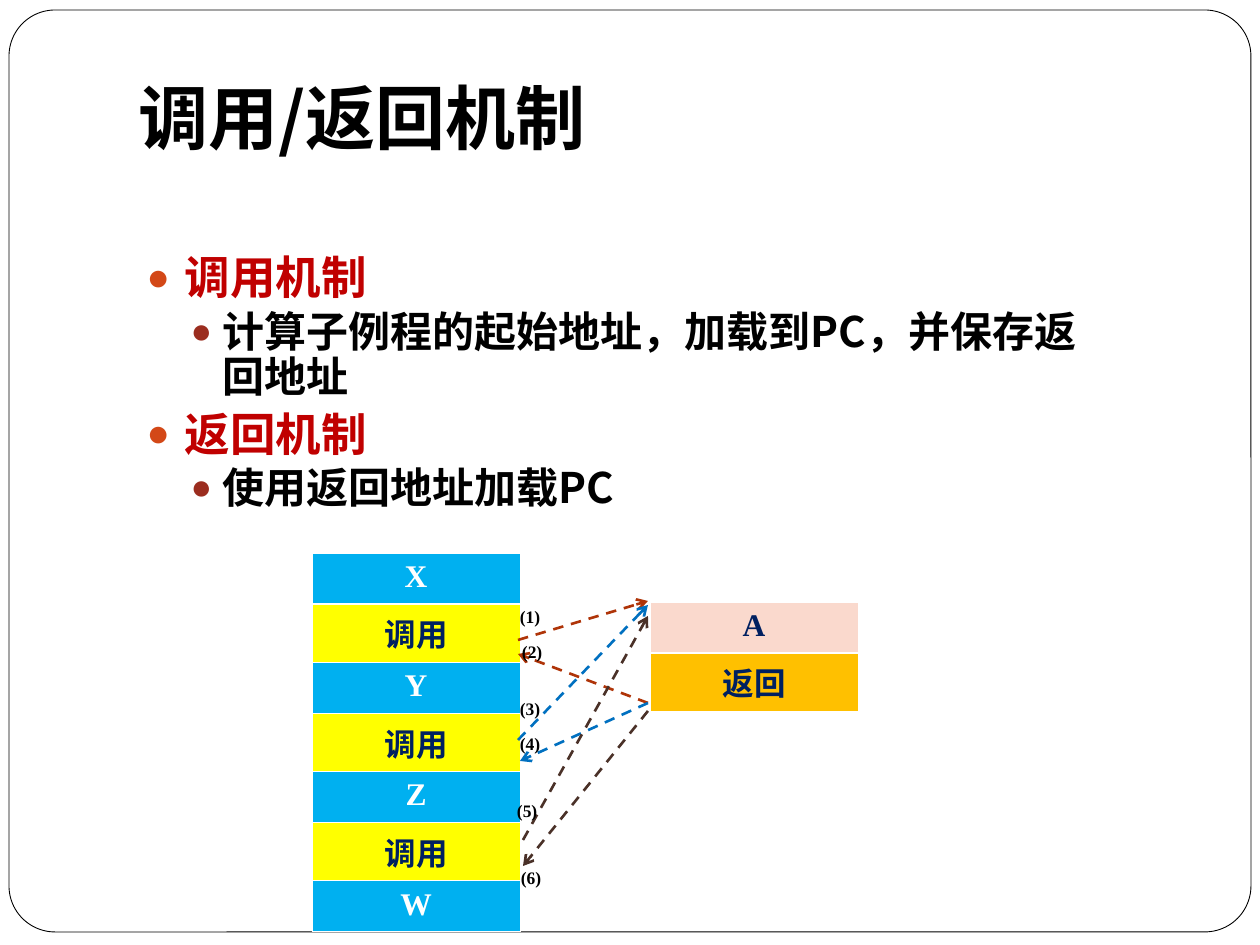
from lxml.etree import SubElement
from pptx import Presentation
from pptx.dml.color import RGBColor
from pptx.enum.dml import MSO_LINE
from pptx.enum.shapes import MSO_CONNECTOR, MSO_SHAPE
from pptx.enum.text import MSO_ANCHOR as ANCHOR, MSO_AUTO_SIZE as AUTO, PP_ALIGN as ALIGN
from pptx.oxml.ns import qn
from pptx.util import Emu, Pt

SCALE = 914400 / 126
CJK, SERIF = "Noto Sans CJK SC", "Times New Roman"


def px(n):
    return Emu(round(n * SCALE))


def rgb(value):
    return RGBColor.from_string(value)


def assign(obj, values):
    for name, value in values.items():
        setattr(obj, name, value)


def place(sp, box):
    assign(sp, dict(zip(("left", "top", "width", "height"), map(px, box))))


class Deck:
    """Holds the text style and the current slide."""

    def __init__(self, prs):
        self.s = prs.slides.add_slide(prs.slide_layouts[1])
        self.shapes = self.s.shapes

    def run(self, p, text, size, color, font):
        r = p.add_run()
        r.text = text
        assign(r.font, {"size": Pt(size), "bold": True, "name": font})
        r.font.color.rgb = rgb(color)
        SubElement(r._r.get_or_add_rPr(), qn("a:ea"), typeface=CJK)

    def frame(self, box, radius):
        sp = self.shapes.add_shape(MSO_SHAPE.ROUNDED_RECTANGLE, *map(px, box))
        sp.adjustments[0] = radius
        sp.shadow.inherit = False
        sp.fill.solid()
        sp.fill.fore_color.rgb = rgb("FFFFFF")
        sp.line.color.rgb = rgb("000000")
        sp.line.width = Pt(0.5)
        self.shapes._spTree.insert(2, sp._element)

    def title(self, text, box):
        sp = self.shapes.title
        place(sp, box)
        tf = sp.text_frame
        assign(tf, {"vertical_anchor": ANCHOR.MIDDLE, "auto_size": AUTO.NONE, "word_wrap": True})
        p = tf.paragraphs[0]
        p.alignment = ALIGN.LEFT
        self.run(p, text, 40, "000000", CJK)

    def bullets(self, items, box):
        levels = (
            {"size": 26, "color": "C00000", "bullet": "D34817", "before": 5.8, "left": 38, "hang": 38},
            {"size": 24, "color": "000000", "bullet": "9B2D1F", "before": 3.7, "left": 76, "hang": 32},
        )
        sp = self.s.placeholders[1]
        place(sp, box)
        tf = sp.text_frame
        assign(tf, {"vertical_anchor": ANCHOR.TOP, "auto_size": AUTO.NONE, "word_wrap": True})
        for i, (level, text) in enumerate(items):
            p = tf.add_paragraph() if i else tf.paragraphs[0]
            look = levels[level]
            assign(p, {"level": level, "line_spacing": 0.9, "space_before": Pt(look["before"] if i else 0)})
            pPr = p._p.get_or_add_pPr()
            pPr.set("marL", str(px(look["left"])))
            pPr.set("indent", str(-px(look["hang"])))
            SubElement(SubElement(pPr, qn("a:buClr")), qn("a:srgbClr"), val=look["bullet"])
            SubElement(pPr, qn("a:buSzPct"), val="85000")
            SubElement(pPr, qn("a:buFont"), typeface=SERIF)
            SubElement(pPr, qn("a:buChar"), char="●")
            self.run(p, text, look["size"], look["color"], CJK)

    def borders(self, cell, widths):
        tcPr = cell._tc.get_or_add_tcPr()
        for side, width in zip("LRTB", widths):
            ln = SubElement(tcPr, qn(f"a:ln{side}"), w=str(Pt(width)))
            SubElement(SubElement(ln, qn("a:solidFill")), qn("a:srgbClr"), val="FFFFFF")

    def stack(self, rows, left, top, width, height):
        table = self.shapes.add_table(len(rows), 1, *map(px, (left, top, width, height * len(rows)))).table
        for i, (text, fill, color) in enumerate(rows):
            cell = table.cell(i, 0)
            self.borders(cell, (0.45, 0.45, 1.47 if i == 1 else 0.45, 1.47 if i == 0 else 0.45))
            cell.fill.solid()
            cell.fill.fore_color.rgb = rgb(fill)
            p = cell.text_frame.paragraphs[0]
            p.alignment = ALIGN.CENTER
            self.run(p, text, 18, color, SERIF)

    def label(self, text, left, top):
        tf = self.shapes.add_textbox(*map(px, (left, top, 35, 30))).text_frame
        assign(tf, {"word_wrap": True, "margin_left": px(2), "margin_right": px(2),
                    "margin_top": px(1), "margin_bottom": px(1)})
        self.run(tf.paragraphs[0], text, 10, "000000", SERIF)

    def arrow(self, start, end, color):
        c = self.shapes.add_connector(MSO_CONNECTOR.STRAIGHT, *map(px, start + end))
        c.line.color.rgb = rgb(color)
        assign(c.line, {"width": Pt(1.5), "dash_style": MSO_LINE.DASH})
        spPr = c._element.spPr
        SubElement(spPr.find(qn("a:ln")), qn("a:tailEnd"), type="arrow")
        SubElement(spPr, qn("a:effectLst"))


def main():
    prs = Presentation()
    assign(prs, {"slide_width": px(1260), "slide_height": px(945)})
    d = Deck(prs)
    d.frame((9, 10, 1242, 922), 0.05)
    d.title("调用/返回机制", (126, 38, 1071, 158))
    d.bullets([
        (0, "调用机制"),
        (1, "计算子例程的起始地址，加载到PC，并保存返回地址"),
        (0, "返回机制"),
        (1, "使用返回地址加载PC"),
    ], (134, 249, 992, 296))

    call = ("调用", "FFFF00", "002060")
    x, y, z, w = [(name, "00B0F0", "FFFFFF") for name in "XYZW"]
    d.stack([("A", "FAD9CD", "002060"), ("返回", "FFC000", "002060")], 650, 602, 208, 51)
    d.stack([x, call, y, call, z, call, w], 312, 553, 208, 51)

    for start, end, color in (
        ((518, 640), (648, 601), "AF3408"),
        ((648, 703), (518, 654), "AF3408"),
        ((518, 740), (648, 605), "0070C0"),
        ((648, 703), (520, 761), "0070C0"),
        ((523, 840), (648, 616), "4A3128"),
        ((648, 711), (523, 866), "4A3128"),
    ):
        d.arrow(start, end, color)
    spots = ((518, 605), (520, 640), (518, 697), (518, 732), (515, 799), (519, 866))
    for n, (left, top) in enumerate(spots, 1):
        d.label(f"({n})", left, top)
    prs.save("out.pptx")


if __name__ == "__main__":
    main()
